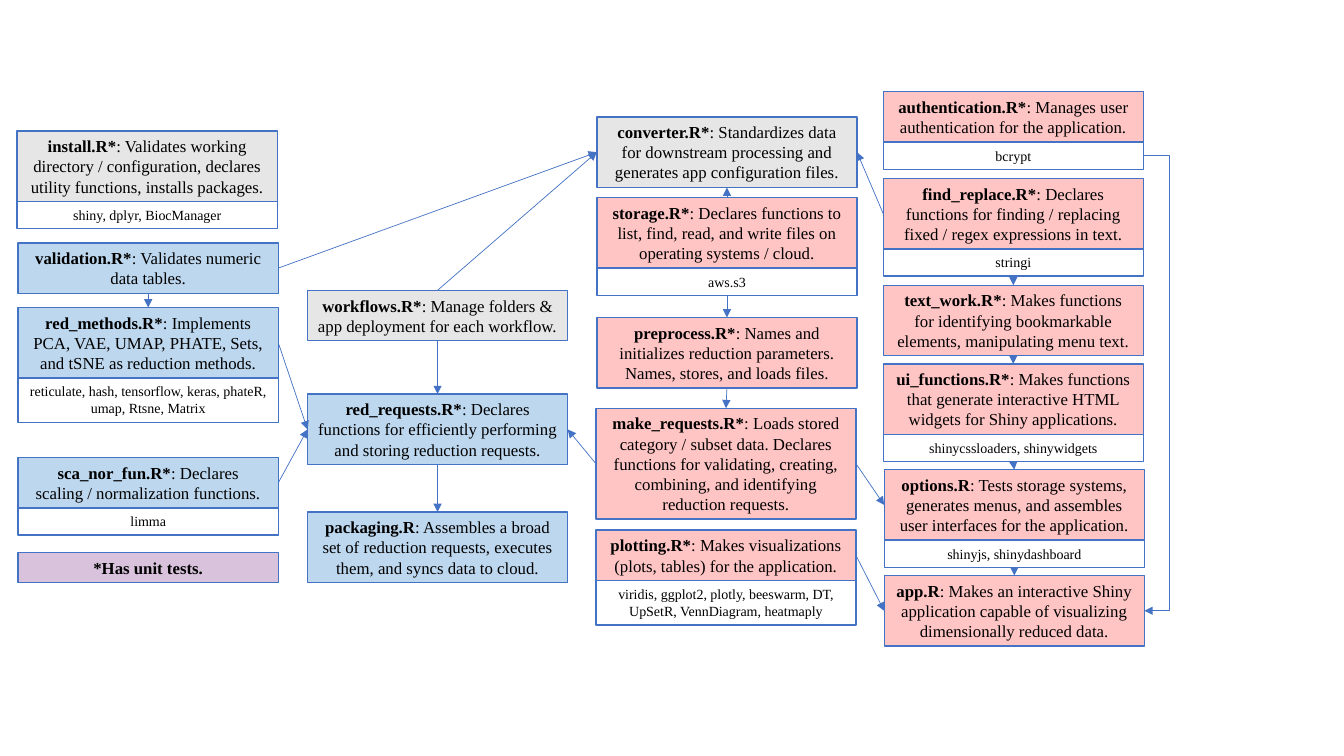
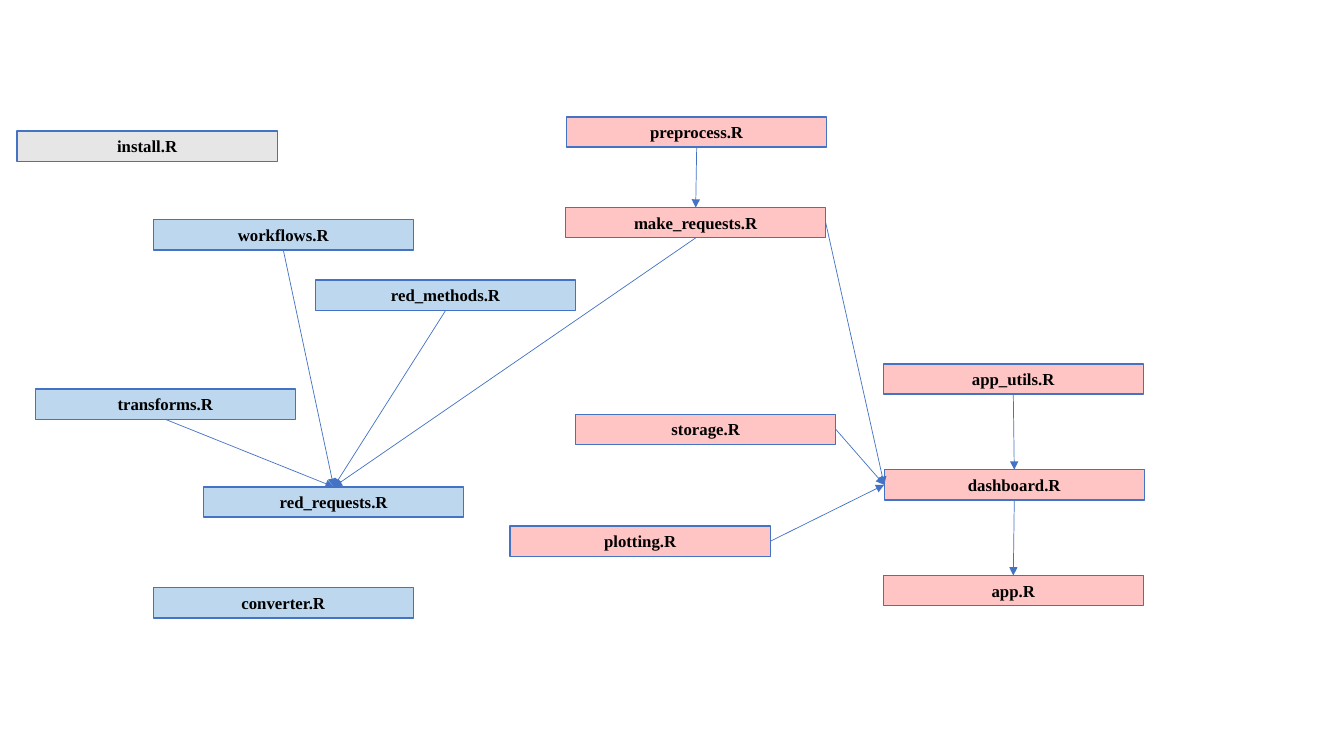
from dataclasses import dataclass

from pptx import Presentation
from pptx.dml.color import RGBColor
from pptx.enum.shapes import MSO_CONNECTOR, MSO_SHAPE
from pptx.enum.text import MSO_ANCHOR, MSO_AUTO_SIZE, PP_ALIGN
from pptx.oxml.ns import qn
from pptx.util import Inches, Pt
from lxml.etree import SubElement

SETUP = RGBColor(0xE7, 0xE6, 0xE6)
REDUCTION = RGBColor(0xBD, 0xD7, 0xEE)
APP = RGBColor(0xFF, 0xC5, 0xC5)
LEGEND = RGBColor(0xD8, 0xC2, 0xDC)
OUTLINE = RGBColor(0x44, 0x72, 0xC4)
INK = RGBColor(0, 0, 0)

FONT = "Times New Roman"
BOX_WIDTH = 2.58
PADDING = 0.1
SCRIPT_SIZE, SCRIPT_LINE = 12, 0.2
PACKAGE_SIZE, PACKAGE_LINE = 10, 0.17
DETOUR = 0.26
SITES = {"top": 0, "left": 1, "bottom": 2, "right": 3}


@dataclass
class Module:
    left: float
    top: float
    fill: RGBColor
    name: str
    purpose: str = ""
    lines: int = 1
    packages: str = ""
    package_lines: int = 1


DETAILED_MODULES = [
    Module(0.17, 1.3, SETUP, "install.R*",
           ": Validates working directory / configuration, declares utility functions, "
           "installs packages.", 3, "shiny, dplyr, BiocManager"),
    Module(0.18, 2.41, REDUCTION, "validation.R*", ": Validates numeric data tables.", 2),
    Module(0.18, 3.05, REDUCTION, "red_methods.R*",
           ": Implements PCA, VAE, UMAP, PHATE, Sets, and tSNE as reduction methods.", 3,
           "reticulate, hash, tensorflow, keras, phateR, umap, Rtsne, Matrix", 2),
    Module(0.18, 4.54, REDUCTION, "sca_nor_fun.R*",
           ": Declares scaling / normalization functions.", 2, "limma"),
    Module(0.18, 5.48, LEGEND, "*Has unit tests."),
    Module(3.05, 2.88, SETUP, "workflows.R*",
           ": Manage folders & app deployment for each workflow.", 2),
    Module(3.05, 3.91, REDUCTION, "red_requests.R*",
           ": Declares functions for efficiently performing and storing reduction requests.", 3),
    Module(3.05, 5.08, REDUCTION, "packaging.R",
           ": Assembles a broad set of reduction requests, executes them, "
           "and syncs data to cloud.", 3),
    Module(5.92, 1.16, SETUP, "converter.R*",
           ": Standardizes data for downstream processing and generates app "
           "configuration files.", 3),
    Module(5.92, 1.96, APP, "storage.R*",
           ": Declares functions to list, find, read, and write files on "
           "operating systems / cloud.", 3, "aws.s3"),
    Module(5.92, 3.15, APP, "preprocess.R*",
           ": Names and initializes reduction parameters. Names, stores, and loads files.", 3),
    Module(5.91, 4.05, APP, "make_requests.R*",
           ": Loads stored category / subset data. Declares functions for validating, "
           "creating, combining, and identifying reduction requests.", 5),
    Module(5.91, 5.26, APP, "plotting.R*",
           ": Makes visualizations (plots, tables) for the application.", 2,
           "viridis, ggplot2, plotly, beeswarm, DT, UpSetR, VennDiagram, heatmaply", 2),
    Module(8.76, 0.91, APP, "authentication.R*",
           ": Manages user authentication for the application.", 2, "bcrypt"),
    Module(8.76, 1.77, APP, "find_replace.R*",
           ": Declares functions for finding / replacing fixed / regex expressions in text.", 3,
           "stringi"),
    Module(8.76, 2.83, APP, "text_work.R*",
           ": Makes functions for identifying bookmarkable elements, manipulating menu text.", 3),
    Module(8.76, 3.61, APP, "ui_functions.R*",
           ": Makes functions that generate interactive HTML widgets for Shiny applications.", 3,
           "shinycssloaders, shinywidgets"),
    Module(8.77, 4.66, APP, "options.R",
           ": Tests storage systems, generates menus, and assembles user interfaces "
           "for the application.", 3, "shinyjs, shinydashboard"),
    Module(8.77, 5.71, APP, "app.R",
           ": Makes an interactive Shiny application capable of visualizing "
           "dimensionally reduced data.", 3),
]

DETAILED_ARROWS = [
    ("workflows.R*", "bottom", "red_requests.R*", "top"),
    ("workflows.R*", "top", "converter.R*", "left"),
    ("validation.R*", "right", "converter.R*", "left"),
    ("validation.R*", "bottom", "red_methods.R*", "top"),
    ("red_methods.R*", "right", "red_requests.R*", "left"),
    ("sca_nor_fun.R*", "right", "red_requests.R*", "left"),
    ("make_requests.R*", "left", "red_requests.R*", "right"),
    ("red_requests.R*", "bottom", "packaging.R", "top"),
    ("storage.R*", "top", "converter.R*", "bottom"),
    ("storage.R*", "bottom", "preprocess.R*", "top"),
    ("preprocess.R*", "bottom", "make_requests.R*", "top"),
    ("make_requests.R*", "right", "options.R", "left"),
    ("plotting.R*", "right", "app.R", "left"),
    ("find_replace.R*", "left", "converter.R*", "right"),
    ("find_replace.R*", "bottom", "text_work.R*", "top"),
    ("text_work.R*", "bottom", "ui_functions.R*", "top"),
    ("ui_functions.R*", "bottom", "options.R", "top"),
    ("options.R", "bottom", "app.R", "top"),
]

OVERVIEW_MODULES = [
    Module(0.17, 1.3, SETUP, "install.R"),
    Module(1.52, 2.18, REDUCTION, "workflows.R"),
    Module(3.13, 2.78, REDUCTION, "red_methods.R"),
    Module(0.35, 3.86, REDUCTION, "transforms.R"),
    Module(2.02, 4.83, REDUCTION, "red_requests.R"),
    Module(1.52, 5.83, REDUCTION, "converter.R"),
    Module(5.62, 1.16, APP, "preprocess.R"),
    Module(5.61, 2.06, APP, "make_requests.R"),
    Module(5.71, 4.11, APP, "storage.R"),
    Module(5.06, 5.22, APP, "plotting.R"),
    Module(8.76, 3.61, APP, "app_utils.R"),
    Module(8.77, 4.66, APP, "dashboard.R"),
    Module(8.76, 5.71, APP, "app.R"),
]

OVERVIEW_ARROWS = [
    *[(name, "bottom", "red_requests.R", "top")
      for name in ("workflows.R", "red_methods.R", "transforms.R", "make_requests.R")],
    *[(name, "right", "dashboard.R", "left")
      for name in ("make_requests.R", "storage.R", "plotting.R")],
    ("preprocess.R", "bottom", "make_requests.R", "top"),
    ("app_utils.R", "bottom", "dashboard.R", "top"),
    ("dashboard.R", "bottom", "app.R", "top"),
]


def add_box(slide, left, top, height, fill, size, runs):
    box = slide.shapes.add_shape(MSO_SHAPE.RECTANGLE, Inches(left), Inches(top),
                                 Inches(BOX_WIDTH), Inches(height))
    box.shadow.inherit = False
    box.line.color.rgb = OUTLINE
    box.line.width = Pt(1)
    if fill is None:
        box.fill.background()
    else:
        box.fill.solid()
        box.fill.fore_color.rgb = fill
    frame = box.text_frame
    frame.word_wrap = True
    frame.auto_size = MSO_AUTO_SIZE.SHAPE_TO_FIT_TEXT
    frame.vertical_anchor = MSO_ANCHOR.TOP
    paragraph = frame.paragraphs[0]
    paragraph.alignment = PP_ALIGN.CENTER
    for text, bold in runs:
        run = paragraph.add_run()
        run.text = text
        run.font.name = FONT
        run.font.size = Pt(size)
        run.font.bold = bold
        run.font.color.rgb = INK
    return box


def add_module(slide, module):
    height = PADDING + SCRIPT_LINE * module.lines
    runs = [(module.name, True)]
    if module.purpose:
        runs.append((module.purpose, False))
    script = add_box(slide, module.left, module.top, height, module.fill, SCRIPT_SIZE, runs)
    if not module.packages:
        return script, script
    packages = add_box(slide, module.left, module.top + height,
                       PADDING + PACKAGE_LINE * module.package_lines,
                       None, PACKAGE_SIZE, [(module.packages, False)])
    return script, packages


def add_arrow(slide, source, source_side, target, target_side, kind=MSO_CONNECTOR.STRAIGHT):
    arrow = slide.shapes.add_connector(kind, 0, 0, 0, 0)
    arrow.begin_connect(source, SITES[source_side])
    arrow.end_connect(target, SITES[target_side])
    arrow.line.color.rgb = OUTLINE
    arrow.line.width = Pt(0.5)
    SubElement(arrow.line._get_or_add_ln(), qn("a:tailEnd"), type="triangle")
    SubElement(arrow._element.spPr, qn("a:effectLst"))
    return arrow


def add_side_detour(slide, source, target):
    arrow = add_arrow(slide, source, "right", target, "right", MSO_CONNECTOR.ELBOW)
    bend = round(Inches(DETOUR) / arrow.width * 100000)
    guides = arrow._element.spPr.find(qn("a:prstGeom")).get_or_add_avLst()
    SubElement(guides, qn("a:gd"), name="adj1", fmla=f"val {bend}")


def add_module_map(deck, modules, arrows):
    slide = deck.slides.add_slide(deck.slide_layouts[6])
    placed = {module.name: add_module(slide, module) for module in modules}
    for source, source_side, target, target_side in arrows:
        script, packages = placed[source]
        start = packages if source_side == "bottom" else script
        add_arrow(slide, start, source_side, placed[target][0], target_side)
    return slide, placed


def main():
    deck = Presentation()
    deck.slide_width = Inches(13.33)
    deck.slide_height = Inches(7.5)
    slide, placed = add_module_map(deck, DETAILED_MODULES, DETAILED_ARROWS)
    add_side_detour(slide, placed["authentication.R*"][1], placed["app.R"][0])
    add_module_map(deck, OVERVIEW_MODULES, OVERVIEW_ARROWS)
    deck.save("out.pptx")


if __name__ == "__main__":
    main()
